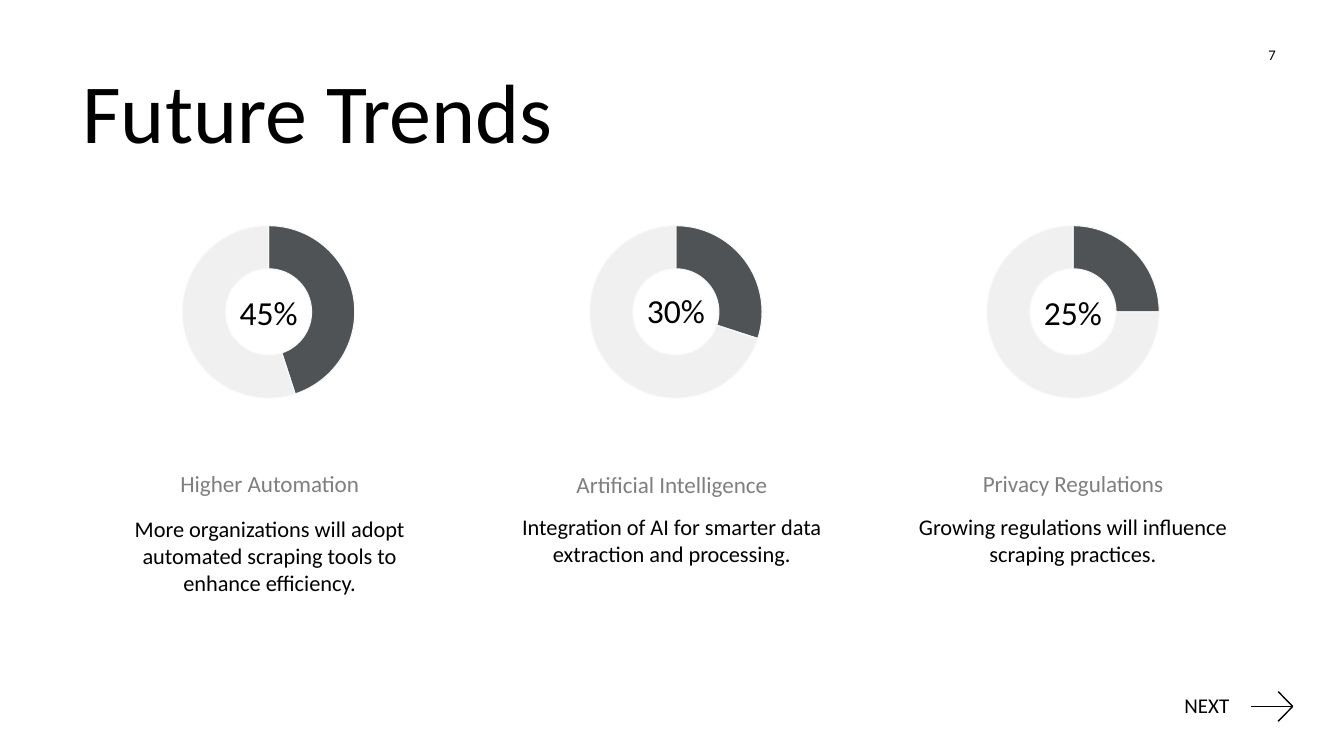
from lxml import etree
from pptx import Presentation
from pptx import util as u
from pptx.chart import data as chart_data
from pptx.dml.color import RGBColor
from pptx.enum import chart as chart_enum, shapes, text
from pptx.oxml import parse_xml
from pptx.oxml import ns

BLACK = RGBColor(0x00, 0x00, 0x00)
GREY = RGBColor(0x7F, 0x7F, 0x7F)
SLATE = RGBColor(0x50, 0x53, 0x56)
PALE = RGBColor(0xF0, 0xF0, 0xF0)
EDGE = RGBColor(0xF9, 0xF9, 0xF9)
WHITE = RGBColor(0xFF, 0xFF, 0xFF)

LEFT, CENTER = text.PP_ALIGN.LEFT, text.PP_ALIGN.CENTER
TOP, MIDDLE, BOTTOM = (text.MSO_ANCHOR.TOP, text.MSO_ANCHOR.MIDDLE,
                       text.MSO_ANCHOR.BOTTOM)

RING_LAYOUT = (
    f'<c:layout {ns.nsdecls("c")}><c:manualLayout><c:layoutTarget val="inner"/>'
    '<c:xMode val="edge"/><c:yMode val="edge"/><c:x val="0.07"/><c:y val="0.07"/>'
    '<c:w val="0.86"/><c:h val="0.86"/></c:manualLayout></c:layout>')


class TrendSlide:
    """Holds the style and the slide; all lengths are in points."""

    font = "Calibri"

    def __init__(self, slide):
        self.slide = slide
        slide.background.fill.solid()
        slide.background.fill.fore_color.rgb = WHITE

    def label(self, words, box, size, color=BLACK, align=CENTER, anchor=TOP,
              side_inset=7.2, spacing=None):
        frame = self.slide.shapes.add_textbox(*map(u.Pt, box)).text_frame
        frame.word_wrap = True
        frame.vertical_anchor = anchor
        frame.margin_left = frame.margin_right = u.Pt(side_inset)
        paragraph = frame.paragraphs[0]
        paragraph.alignment = align
        if spacing:
            paragraph.line_spacing = spacing
        run = paragraph.add_run()
        run.text = words
        run.font.name = self.font
        run.font.size = u.Pt(size)
        run.font.color.rgb = color

    def line(self, start, end):
        stroke = self.slide.shapes.add_connector(
            shapes.MSO_CONNECTOR.STRAIGHT, *map(u.Pt, start + end))
        stroke.line.color.rgb = BLACK
        stroke.line.width = u.Pt(1)
        etree.SubElement(stroke._element.spPr, ns.qn("a:effectLst"))

    def ring(self, share, box):
        shares = chart_data.CategoryChartData()
        shares.categories = ["1", "2"]
        shares.add_series("Series 1", (share, 100 - share))
        chart = self.slide.shapes.add_chart(
            chart_enum.XL_CHART_TYPE.DOUGHNUT, *map(u.Pt, box), shares).chart
        chart.has_legend = False
        chart.has_title = False
        chart.font.name = self.font
        chart.font.size = u.Pt(10)
        chart.font.color.rgb = BLACK
        plot = chart.plots[0]
        plot.vary_by_categories = True
        for index, color in enumerate((SLATE, PALE)):
            part = plot.series[0].points[index].format
            part.fill.solid()
            part.fill.fore_color.rgb = color
            part.line.color.rgb = EDGE
            part.line.width = u.Pt(0.75)

        # Hole size and ring placement
        area = chart._chartSpace.find(".//" + ns.qn("c:plotArea"))
        area.find(".//" + ns.qn("c:holeSize")).set("val", "90")
        for layout in area.findall(ns.qn("c:layout")):
            area.remove(layout)
        area.insert(0, parse_xml(RING_LAYOUT))


def main():
    deck = Presentation()
    deck.slide_width, deck.slide_height = u.Pt(960), u.Pt(540)
    page = TrendSlide(deck.slides.add_slide(deck.slide_layouts[6]))

    # Next arrow
    tip = (923.4, 504.6)
    page.line((893.5, 504.6), tip)
    for barb_y in (494, 515.2):
        page.line((913, barb_y), tip)
    page.label("NEXT", (843.1, 493.2, 59.8, 23.8), 15, align=LEFT,
               side_inset=2.9, spacing=0.9)

    # Page number and title
    page.label("7", (894.2, 25.2, 28.8, 28), 10.5, anchor=MIDDLE)
    page.label("Future Trends", (51.8, 38.9, 822.2, 103.7), 60, align=LEFT)

    # Trends: share, ring left, text left, share top, heading top, body top
    trends = [
        (45, 120.2, 72, 205.2, 300.2, 364.3, "Higher Automation",
         "More organizations will adopt automated scraping tools to enhance efficiency."),
        (30, 411.1, 359.3, 203.8, 301, 362.9, "Artificial Intelligence",
         "Integration of AI for smarter data extraction and processing."),
        (25, 694.8, 645.8, 205.2, 300.2, 362.9, "Privacy Regulations",
         "Growing regulations will influence scraping practices."),
    ]
    ring_size, share_width, text_width = 143.3, 72, 241.2
    for share, ring_x, text_x, share_y, heading_y, body_y, heading, body in trends:
        page.ring(share, (ring_x, 151.2, ring_size, ring_size))
        share_x = ring_x + (ring_size - share_width) / 2
        page.label(f"{share}%", (share_x, share_y, share_width, 36), 24,
                   anchor=MIDDLE)
        page.label(heading, (text_x, heading_y, text_width, 58.3), 16.5,
                   color=GREY, anchor=BOTTOM)
        page.label(body, (text_x, body_y, text_width, 103.7), 16)

    deck.save("out.pptx")


if __name__ == "__main__":
    main()
